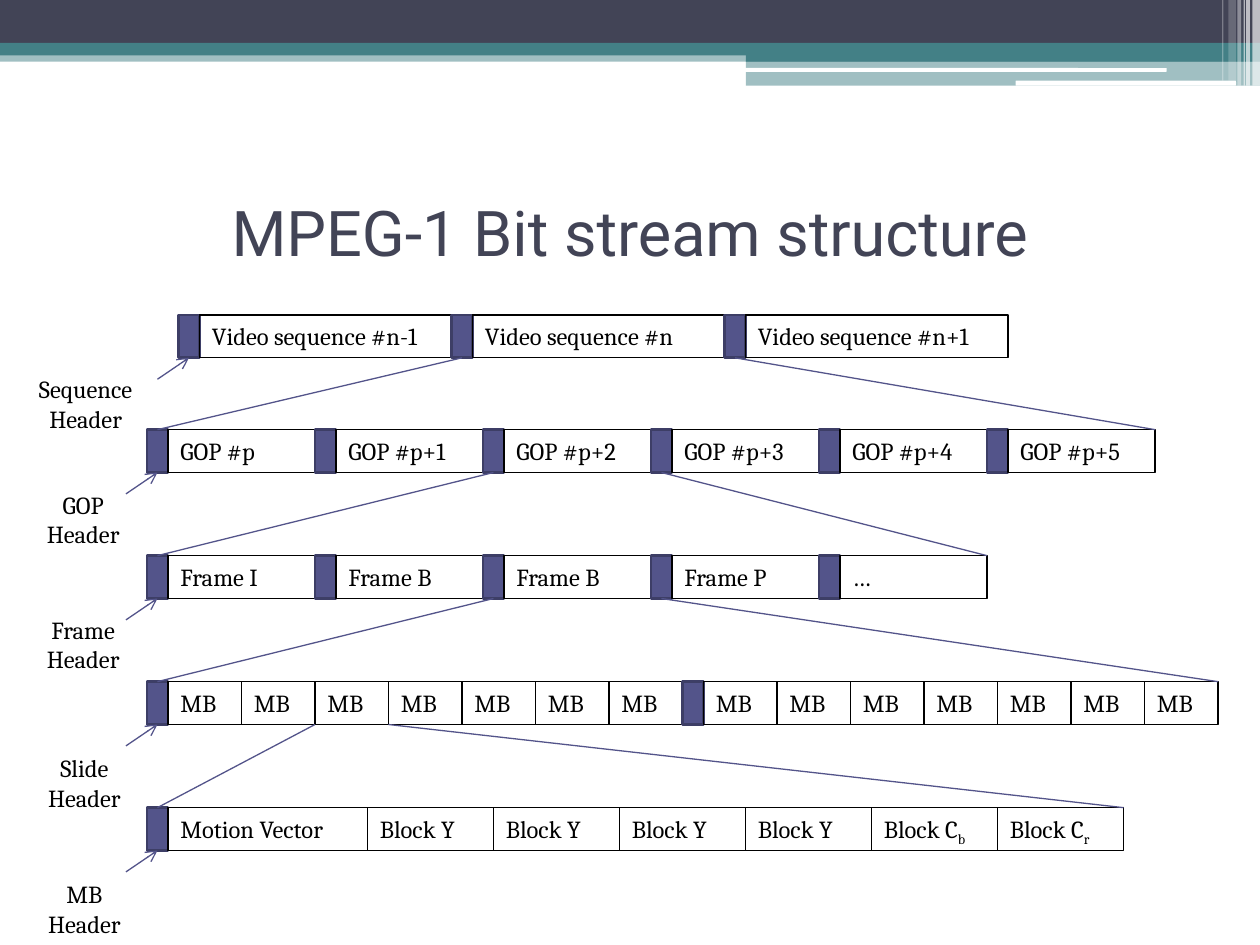
"""Builds the slide on the structure of the MPEG-1 bit stream."""
from lxml import etree
from pptx import Presentation
from pptx.dml.color import RGBColor
from pptx.enum.shapes import MSO_CONNECTOR, MSO_SHAPE
from pptx.enum.text import MSO_ANCHOR, PP_ALIGN
from pptx.oxml.ns import qn
from pptx.util import Inches, Pt

RECT, ROUND = MSO_SHAPE.RECTANGLE, MSO_SHAPE.ROUNDED_RECTANGLE
LINE = MSO_CONNECTOR.STRAIGHT
TOP, MIDDLE = MSO_ANCHOR.TOP, MSO_ANCHOR.MIDDLE
LEFT, CENTER = PP_ALIGN.LEFT, PP_ALIGN.CENTER

COLORS = {"dark": "424456", "teal": "438086", "white": "FFFFFF",
          "black": "000000", "head": "53548A", "edge": "3D3E66"}
UNIT, HIGH = 1 / 12, 0.34
HEAD = ("", 2)

BANDS = [
    (0, 0.4, 10, 0.09, RECT, "teal", 50),
    (0, 0, 10, 0.34, RECT, "dark", 100),
    (0, 0.34, 10, 0.1, RECT, "teal", 100),
    (5.92, 0.39, 4.08, 0.1, RECT, "teal", 100),
    (5.92, 0.48, 4.08, 0.2, RECT, "teal", 50),
    (5.91, 0.54, 3.35, 0.03, ROUND, "white", 100),
    (8.06, 0.64, 1.75, 0.04, ROUND, "white", 100),
    (9.94, 0, 0.06, 0.68, RECT, "white", 65),
    (9.89, 0, 0.03, 0.68, RECT, "white", 65),
    (9.87, 0, 0.01, 0.68, RECT, "white", 60),
    (9.82, 0, 0.03, 0.68, RECT, "white", 40),
    (9.75, 0, 0.06, 0.64, RECT, "white", 20),
    (9.7, 0, 0.01, 0.64, RECT, "white", 30),
]


def pair(names, width):
    return [part for name in names for part in (HEAD, (name, width))]


GOPS = ["GOP #p"] + [f"GOP #p+{n}" for n in range(1, 6)]
FRAMES = ["Frame I", "Frame B", "Frame B", "Frame P", "…"]
MBS = [HEAD] + [("MB", 7)] * 7
BLOCKS = ["Block Y"] * 4 + ["Block C_b", "Block C_r"]

ROWS = [
    {"top": 2.5, "start": 17, "label": "Sequence", "at": (0.17, 2.92), "zoom": 2,
     "parts": pair(["Video sequence #n-1", "Video sequence #n"], 24)
     + pair(["Video sequence #n+1"], 25)},
    {"top": 3.41, "start": 14, "label": "GOP", "at": (0.15, 3.84), "zoom": 4,
     "parts": pair(GOPS, 14)},
    {"top": 4.41, "start": 14, "label": "Frame", "at": (0.15, 4.83), "zoom": 4,
     "parts": pair(FRAMES, 14)},
    {"top": 5.41, "start": 14, "label": "Slide", "at": (0.16, 5.93), "zoom": 3,
     "parts": MBS * 2},
    {"top": 6.41, "start": 14, "label": "MB", "at": (0.16, 6.93), "zoom": None,
     "parts": [HEAD, ("Motion Vector", 19)] + [(name, 12) for name in BLOCKS]},
]


def color(name):
    return RGBColor.from_string(COLORS[name])


def write(shape, text, size=14, font="Cambria", ink="black", align=LEFT,
          anchor=TOP, wrap=True):
    frame = shape.text_frame
    frame.word_wrap, frame.vertical_anchor = wrap, anchor
    for i, line in enumerate(text.split("\n")):
        para = frame.add_paragraph() if i else frame.paragraphs[0]
        para.alignment = align
        for j, piece in enumerate(line.split("_")):
            run = para.add_run()
            run.text = piece
            run.font.size, run.font.name = Pt(size), font
            run.font.color.rgb = color(ink)
            if j:
                run.font._element.set("baseline", "-25000")


def box(slide, x, y, w, h, kind=RECT, fill=None, alpha=100, edge=None, weight=0.75):
    shape = slide.shapes.add_shape(kind, *map(Inches, (x, y, w, h)))
    shape.shadow.inherit = False
    if fill:
        shape.fill.solid()
        shape.fill.fore_color.rgb = color(fill)
        if alpha < 100:
            tint = shape._element.spPr.find(".//" + qn("a:srgbClr"))
            etree.SubElement(tint, qn("a:alpha")).set("val", str(alpha * 1000))
    else:
        shape.fill.background()
    if edge:
        shape.line.color.rgb = color(edge)
        shape.line.width = Pt(weight)
    else:
        shape.line.fill.background()
    return shape


def link(slide, start, end, first=None, last=None, arrow=False):
    line = slide.shapes.add_connector(LINE, *map(Inches, start + end))
    line.line.color.rgb = color("head")
    line.line.width = Pt(0.75)
    if arrow:
        etree.SubElement(line.line._get_or_add_ln(), qn("a:tailEnd")).set("type", "arrow")
    etree.SubElement(line._element.spPr, qn("a:effectLst"))
    if first:
        line.begin_connect(first, 2)
    if last:
        line.end_connect(*last)


def draw_row(slide, row):
    shapes, edges = [], [row["start"] * UNIT]
    for text, width in row["parts"]:
        place = (edges[-1], row["top"], width * UNIT, HIGH)
        if text:
            shape = box(slide, *place, edge="black")
            write(shape, text)
        else:
            shape = box(slide, *place, fill="head", edge="edge", weight=1.5)
        shapes.append(shape)
        edges.append(edges[-1] + width * UNIT)
    return shapes, edges


def main():
    deck = Presentation()
    deck.slide_width, deck.slide_height = Inches(10), Inches(7.5)
    slide = deck.slides.add_slide(deck.slide_layouts[6])
    for x, y, w, h, kind, fill, alpha in BANDS:
        box(slide, x, y, w, h, kind, fill, alpha)
    title = slide.shapes.add_textbox(*map(Inches, (0.5, 1.25, 9, 1.17)))
    write(title, "MPEG-1 Bit stream structure", size=36, font="Roboto",
          ink="dark", align=CENTER, anchor=MIDDLE)

    drawn = [draw_row(slide, row) for row in ROWS]
    for row, (shapes, edges), (below, ends), child in zip(ROWS, drawn, drawn[1:], ROWS[1:]):
        zoom, base = row["zoom"], row["top"] + HIGH
        is_head = row["parts"][zoom] == HEAD
        first, second = (shapes[zoom], shapes[zoom + 2]) if is_head else (None, None)
        link(slide, (edges[zoom], base), (ends[0], child["top"]), first, (below[0], 0))
        link(slide, (edges[zoom + 1], base), (ends[-1], child["top"]), second)

    for row, (shapes, edges) in zip(ROWS, drawn):
        label = slide.shapes.add_textbox(*map(Inches, row["at"] + (1.02, 0.57)))
        write(label, row["label"] + "\nHeader", align=CENTER, wrap=False)
        x, base = edges[0] + UNIT, row["top"] + HIGH
        link(slide, (x - 0.25, base + 0.17), (x, base), last=(shapes[0], 2), arrow=True)
    deck.save("out.pptx")


if __name__ == "__main__":
    main()
